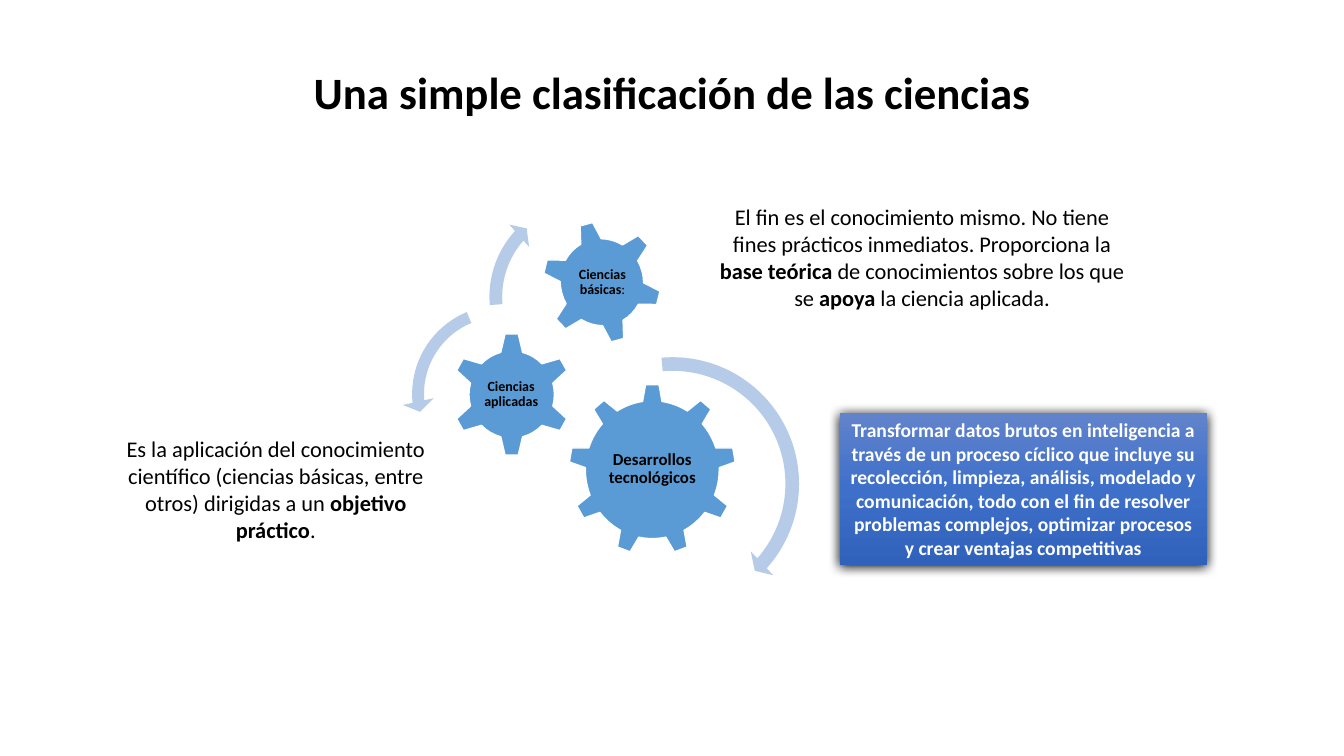
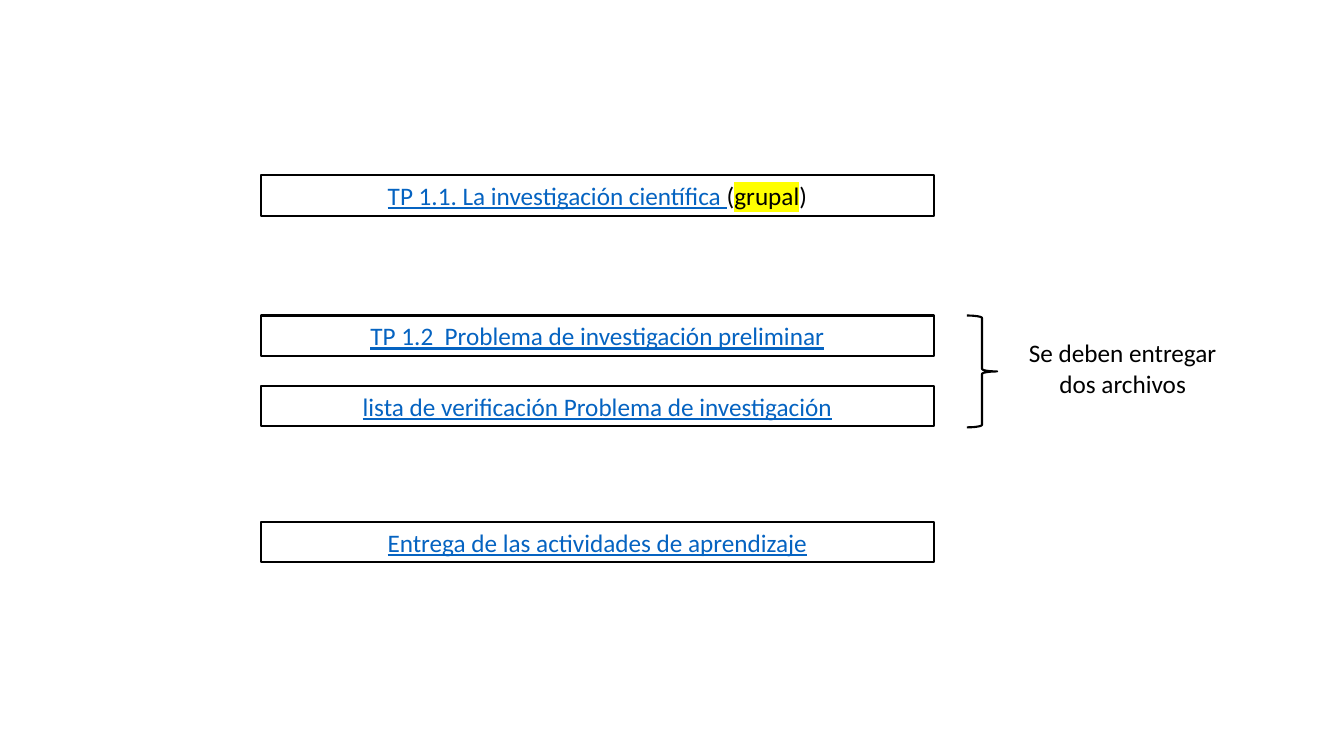
from lxml.etree import SubElement
from pptx import Presentation
from pptx.dml.color import RGBColor
from pptx.enum.shapes import MSO_SHAPE
from pptx.enum.text import MSO_ANCHOR, PP_ALIGN
from pptx.oxml import parse_xml
from pptx.oxml.ns import nsdecls, qn
from pptx.util import Inches, Pt

# Shared style
FONT = "Calibri"
BLACK, WHITE = "000000", "FFFFFF"
GEAR_BLUE, ARROW_BLUE = "5B9BD5", "B5CBE7"
LINK_BLUE, MARKER_YELLOW = "0563C1", "FFFF00"
PANEL_GRADIENT = [(0, "6183CB"), (50, "3E70CA"), (100, "3062BB")]
TITLE_ONLY, BLANK = 5, 6

BOLD = {"bold": True}
LINK = {"color": LINK_BLUE, "underline": True}


def rgb(value):
    return RGBColor.from_string(value)


def inches(box):
    return [Inches(length) for length in box]


# Text
def format_run(run, size, color=BLACK, bold=False, underline=False, highlight=None):
    font = run.font
    font.name, font.size = FONT, Pt(size)
    font.bold, font.underline = bold, underline
    font.color.rgb = rgb(color)
    if highlight:
        marker = parse_xml(f'<a:highlight {nsdecls("a")}><a:srgbClr val="{highlight}"/></a:highlight>')
        run._r.rPr.find(qn("a:solidFill")).addnext(marker)


def write(frame, *paragraphs, size, anchor=MSO_ANCHOR.TOP, margin=None, spacing=None, **style):
    """Each paragraph is a list of (text, run format) pairs."""
    frame.word_wrap = True
    frame.vertical_anchor = anchor
    if margin is not None:
        frame.margin_left = frame.margin_right = Inches(margin)
        frame.margin_top = frame.margin_bottom = Inches(margin)
    for index, runs in enumerate(paragraphs):
        paragraph = frame.add_paragraph() if index else frame.paragraphs[0]
        paragraph.alignment = PP_ALIGN.CENTER
        if spacing:
            paragraph.line_spacing = spacing
        for text, own_style in runs:
            run = paragraph.add_run()
            run.text = text
            format_run(run, size, **{**style, **own_style})


def add_text(slide, box, *paragraphs, **style):
    write(slide.shapes.add_textbox(*inches(box)).text_frame, *paragraphs, **style)


# Shapes
def add_preset(slide, preset, box, fill=None, line=None, line_width=1, rotation=0, adjustments=()):
    shape = slide.shapes.add_shape(preset, *inches(box))
    shape.shadow.inherit = False
    shape.rotation = rotation
    for index, value in enumerate(adjustments):
        shape.adjustments[index] = value
    if fill:
        shape.fill.solid()
        shape.fill.fore_color.rgb = rgb(fill)
    else:
        shape.fill.background()
    if line:
        shape.line.color.rgb = rgb(line)
        shape.line.width = Pt(line_width)
    else:
        shape.line.fill.background()
    return shape


def add_gear(slide, preset, box, label_box, runs, size, rotation=0):
    add_preset(slide, preset, box, fill=GEAR_BLUE, line=WHITE, rotation=rotation)
    add_text(slide, label_box, runs, size=size, anchor=MSO_ANCHOR.MIDDLE, margin=0.01, spacing=0.9)


def add_gradient_panel(slide, box, text):
    panel = add_preset(slide, MSO_SHAPE.RECTANGLE, box)
    properties = panel._element.spPr
    # Vertical gradient
    stops = "".join(
        f'<a:gs pos="{position * 1000}"><a:srgbClr val="{color}"/></a:gs>'
        for position, color in PANEL_GRADIENT
    )
    gradient = parse_xml(
        f'<a:gradFill {nsdecls("a")} rotWithShape="1"><a:gsLst>{stops}</a:gsLst>'
        '<a:lin ang="5400000" scaled="0"/></a:gradFill>'
    )
    properties.replace(properties.find(qn("a:noFill")), gradient)
    # Soft shadow below
    shadow = SubElement(
        properties.find(qn("a:effectLst")), qn("a:outerShdw"),
        blurRad=str(Pt(8.5)), dist=str(Pt(1)), dir="5400000", algn="ctr", rotWithShape="0",
    )
    SubElement(shadow, qn("a:srgbClr"), val=BLACK)
    write(panel.text_frame, [(text, BOLD)], size=14, color=WHITE)


# Slides
def build_sciences(deck):
    slide = deck.slides.add_slide(deck.slide_layouts[TITLE_ONLY])
    title = slide.shapes.title
    title.left, title.top, title.width, title.height = inches((0.92, 0.4, 11.5, 1.08))
    write(title.text_frame, [("Una simple clasificación de las ciencias", BOLD)],
          size=32, anchor=MSO_ANCHOR.MIDDLE, spacing=0.9)

    # Gears
    add_gear(slide, MSO_SHAPE.GEAR_9, (5.64, 3.81, 1.66, 1.7), (5.97, 4.21, 1, 0.88),
             [("Desarrollos tecnológicos", BOLD)], size=12)
    add_gear(slide, MSO_SHAPE.GEAR_6, (4.47, 3.3, 1.21, 1.23), (4.77, 3.61, 0.6, 0.61),
             [("Ciencias aplicadas", BOLD)], size=10)
    add_gear(slide, MSO_SHAPE.GEAR_6, (5.38, 2.19, 1.18, 1.22), (5.64, 2.46, 0.67, 0.68),
             [("Ciencias básicas", BOLD), (":", {})], size=10, rotation=345)

    # Turning arrows
    for preset, box, adjustments in (
        (MSO_SHAPE.CIRCULAR_ARROW, (5.32, 3.45, 2.7, 2.7), (0.05, 2.99, 24.97, 159.03, 0.06)),
        (MSO_SHAPE.LEFT_CIRCULAR_ARROW, (3.99, 2.93, 1.96, 1.96), (0.06, 4.3, 104.89, 148.38, 0.08)),
        (MSO_SHAPE.CIRCULAR_ARROW, (4.77, 1.89, 2.11, 2.11), (0.06, 3.94, 133.14, 105.08, 0.07)),
    ):
        add_preset(slide, preset, box, fill=ARROW_BLUE, adjustments=adjustments)

    # Explanations
    add_text(slide, (7.04, 1.97, 4.21, 1.48), [
        ("El fin es el conocimiento mismo. No tiene fines prácticos inmediatos. Proporciona la ", {}),
        ("base teórica ", BOLD),
        ("de conocimientos sobre los que se ", {}),
        ("apoya", BOLD),
        (" la ciencia aplicada.", {}),
    ], size=16)
    add_text(slide, (1.03, 4.27, 3.41, 1.18), [
        ("Es la aplicación del conocimiento científico (ciencias básicas, entre otros) dirigidas a un ", {}),
        ("objetivo práctico", BOLD),
        (".", {}),
    ], size=16)
    add_gradient_panel(
        slide, (8.33, 4.1, 3.64, 1.51),
        "Transformar datos brutos en inteligencia a través de un proceso cíclico que incluye su "
        "recolección, limpieza, análisis, modelado y comunicación, todo con el fin de resolver "
        "problemas complejos, optimizar procesos y crear ventajas competitivas",
    )


def build_assignments(deck):
    slide = deck.slides.add_slide(deck.slide_layouts[BLANK])

    # Framed assignments
    for top, runs in (
        (1.74, [("TP 1.1. La investigación científica ", LINK), ("(", {}),
                ("grupal", {"highlight": MARKER_YELLOW}), (")", {})]),
        (3.13, [("TP 1.2  Problema de investigación preliminar", LINK)]),
        (3.83, [("lista de verificación Problema de investigación", LINK)]),
        (5.18, [("Entrega de las actividades de aprendizaje", LINK)]),
    ):
        frame = add_preset(slide, MSO_SHAPE.RECTANGLE, (2.59, top, 6.67, 0.4),
                           line=BLACK, line_width=1.5)
        write(frame.text_frame, runs, size=18)

    # Brace and its note
    add_preset(slide, MSO_SHAPE.RIGHT_BRACE, (9.59, 3.13, 0.3, 1.11), line=BLACK, line_width=1.5)
    add_text(slide, (10.1, 3.3, 2.07, 0.71),
             [("Se deben entregar", {})], [("dos archivos", {})], size=18)


def main():
    deck = Presentation()
    deck.slide_width, deck.slide_height = Inches(13.33), Inches(7.5)
    build_sciences(deck)
    build_assignments(deck)
    deck.save("out.pptx")


if __name__ == "__main__":
    main()
